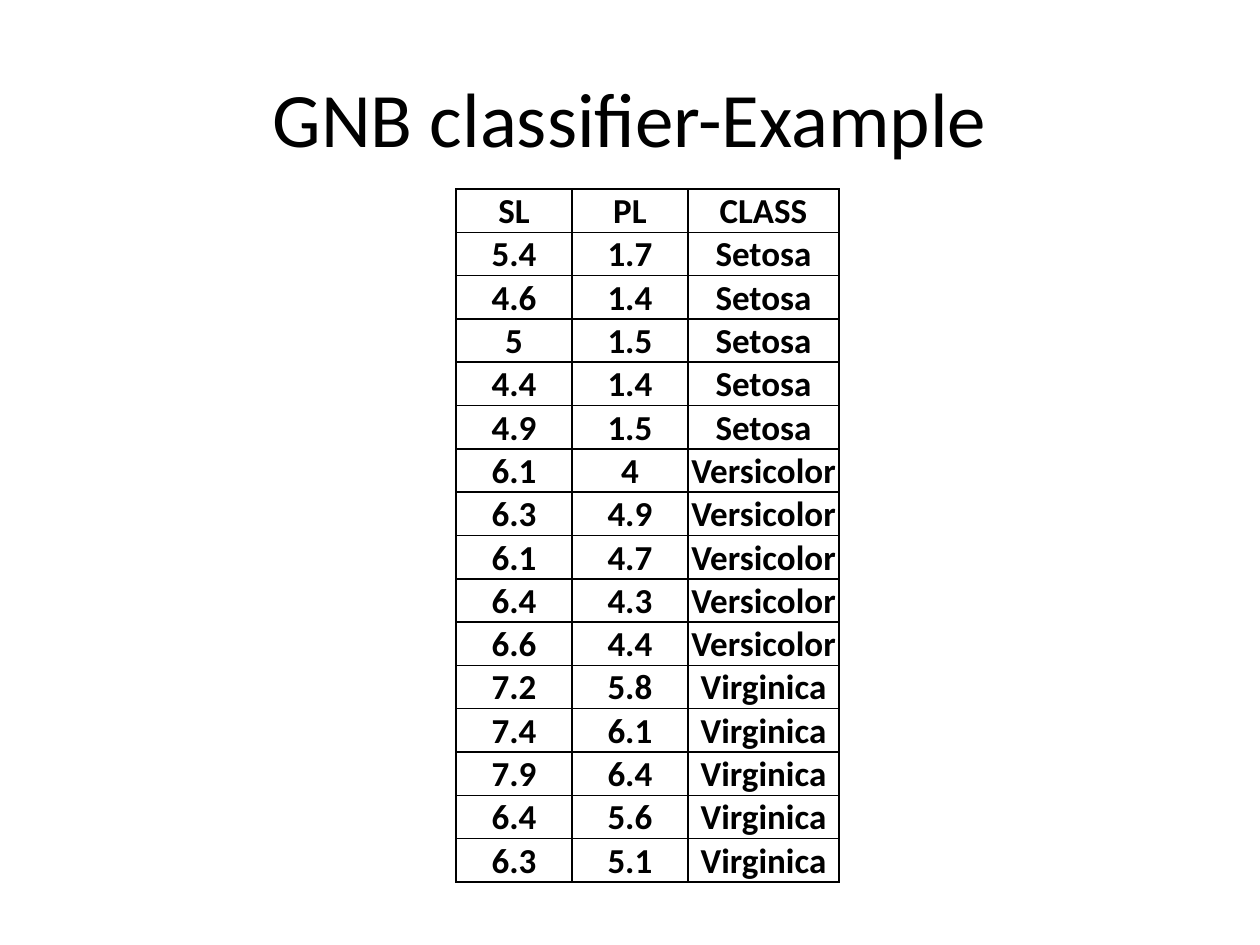
"""Build the GNB classifier example slide with its table of iris measurements."""
import lxml.etree
import pptx
import pptx.dml.color
import pptx.enum.text
import pptx.oxml.ns
import pptx.util

COLORS = {"text": "000000", "border": "000000"}
FONT = "Calibri"
SAMPLES = {
    "Setosa": [("5.4", "1.7"), ("4.6", "1.4"), ("5", "1.5"), ("4.4", "1.4"), ("4.9", "1.5")],
    "Versicolor": [("6.1", "4"), ("6.3", "4.9"), ("6.1", "4.7"), ("6.4", "4.3"), ("6.6", "4.4")],
    "Virginica": [("7.2", "5.8"), ("7.4", "6.1"), ("7.9", "6.4"), ("6.4", "5.6"), ("6.3", "5.1")],
}
COL_WIDTHS = [0.92, 0.92, 1.2]


def add_text(tf, text, size, bold=False):
    p = tf.paragraphs[0]
    p.alignment = pptx.enum.text.PP_ALIGN.CENTER
    r = p.add_run()
    r.text = text
    r.font.name = FONT
    r.font.size = pptx.util.Pt(size)
    r.font.bold = bold
    r.font.color.rgb = pptx.dml.color.RGBColor.from_string(COLORS["text"])


def add_borders(cell):
    tc_pr = cell._tc.get_or_add_tcPr()
    qn = pptx.oxml.ns.qn
    for side in ("lnL", "lnR", "lnT", "lnB"):
        ln = lxml.etree.SubElement(tc_pr, qn(f"a:{side}"), w=str(pptx.util.Pt(1)))
        fill = lxml.etree.SubElement(ln, qn("a:solidFill"))
        lxml.etree.SubElement(fill, qn("a:srgbClr"), val=COLORS["border"])


prs = pptx.Presentation()
prs.slide_width = pptx.util.Inches(10)
prs.slide_height = pptx.util.Inches(7.5)
s = prs.slides.add_slide(prs.slide_layouts[6])
W, H = prs.slide_width, prs.slide_height

title = s.shapes.add_textbox(int(W * 0.05), int(H * 0.04), int(W * 0.9), pptx.util.Inches(1.25))
tf = title.text_frame
tf.word_wrap = True
tf.vertical_anchor = pptx.enum.text.MSO_ANCHOR.MIDDLE
add_text(tf, "GNB classifier-Example", 44)

rows = [("SL", "PL", "CLASS")]
for species, pairs in SAMPLES.items():
    rows += [(sl, pl, species) for sl, pl in pairs]

frame = s.shapes.add_table(len(rows), len(COL_WIDTHS), pptx.util.Inches(3.62), int(H * 0.2),
                           pptx.util.Inches(sum(COL_WIDTHS)), pptx.util.Inches(5.5))
table = frame.table
table.first_row = False
table.horz_banding = False
for column, width in zip(table.columns, COL_WIDTHS):
    column.width = pptx.util.Inches(width)

for i, values in enumerate(rows):
    for j, value in enumerate(values):
        cell = table.cell(i, j)
        cell.margin_left = cell.margin_right = cell.margin_top = pptx.util.Inches(0.01)
        cell.margin_bottom = 0
        cell.vertical_anchor = pptx.enum.text.MSO_ANCHOR.BOTTOM
        add_borders(cell)
        cell.fill.background()
        add_text(cell.text_frame, value, 20, bold=True)

prs.save("out.pptx")
